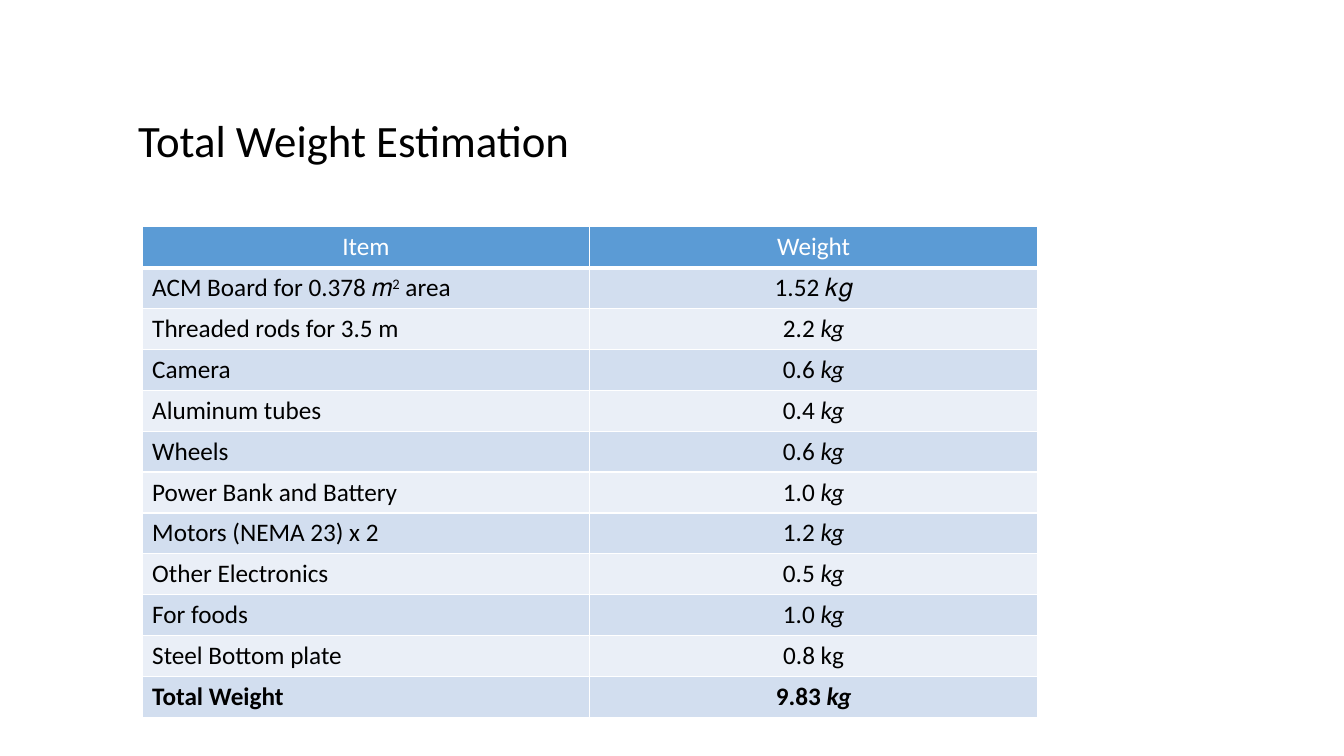
from pptx import Presentation
from pptx.dml.color import RGBColor
from pptx.enum.text import MSO_ANCHOR, PP_ALIGN
from pptx.oxml import parse_xml
from pptx.oxml.ns import nsdecls
from pptx.util import Inches, Pt

BLACK = RGBColor(0x00, 0x00, 0x00)
WHITE = RGBColor(0xFF, 0xFF, 0xFF)
HEADER_BLUE = RGBColor(0x5B, 0x9B, 0xD5)
BAND_DARK = RGBColor(0xD2, 0xDE, 0xEF)
BAND_LIGHT = RGBColor(0xEA, 0xEF, 0xF7)
FONT = "Calibri"

# Each cell is a list of (text, style) runs
PLAIN, ITALIC, SUPER = "plain", "italic", "super"
WEIGHTS = [
    ("Threaded rods for 3.5 m", "2.2 "),
    ("Camera", "0.6 "),
    ("Aluminum tubes", "0.4 "),
    ("Wheels", "0.6 "),
    ("Power Bank and Battery", "1.0 "),
    ("Motors (NEMA 23) x 2", "1.2 "),
    ("Other Electronics", "0.5 "),
    ("For foods", "1.0 "),
]
TOTAL = ("Total Weight", "9.83 ")


def weight_row(item, amount):
    return [[(item, PLAIN)], [(amount, PLAIN), ("kg", ITALIC)]]


ROWS = [
    [[("Item", PLAIN)], [("Weight", PLAIN)]],
    [[("ACM Board for 0.378 𝑚", PLAIN), ("2", SUPER), (" area", PLAIN)],
     [("1.52 𝑘𝑔", PLAIN)]],
    *[weight_row(item, amount) for item, amount in WEIGHTS],
    [[("Steel Bottom plate", PLAIN)], [("0.8 kg", PLAIN)]],
    weight_row(*TOTAL),
]


def add_span(para, text, size, color, style=PLAIN, bold=False):
    span = para.add_run()
    span.text = text
    span.font.name = FONT
    span.font.size = Pt(size)
    span.font.bold = bold
    span.font.color.rgb = color
    if style == ITALIC:
        span.font.italic = True
    elif style == SUPER:
        span.font._element.set("baseline", "30000")


def set_borders(cell, bottom_width):
    properties = cell._tc.get_or_add_tcPr()
    widths = [("lnL", 1), ("lnR", 1), ("lnT", 1), ("lnB", bottom_width)]
    for position, (side, width) in enumerate(widths):
        properties.insert(position, parse_xml(
            f'<a:{side} {nsdecls("a")} w="{Pt(width)}"><a:solidFill>'
            f'<a:srgbClr val="{WHITE}"/></a:solidFill></a:{side}>'))


def add_title(page, left, top, width, height):
    box = page.shapes.title
    box.left, box.top, box.width, box.height = left, top, width, height
    frame = box.text_frame
    frame.word_wrap = True
    frame.vertical_anchor = MSO_ANCHOR.TOP
    para = frame.paragraphs[0]
    para.alignment = PP_ALIGN.LEFT
    para.line_spacing = 0.9
    add_span(para, "Total Weight Estimation", 32, BLACK)


def add_weight_table(page, left, top, width, height):
    table = page.shapes.add_table(
        len(ROWS), len(ROWS[0]), left, top, width, height).table
    for row_index, row in enumerate(ROWS):
        is_header = row_index == 0
        is_total = row_index == len(ROWS) - 1
        band = BAND_DARK if row_index % 2 else BAND_LIGHT
        for column_index, spans in enumerate(row):
            cell = table.cell(row_index, column_index)
            cell.fill.solid()
            cell.fill.fore_color.rgb = HEADER_BLUE if is_header else band
            set_borders(cell, 3 if is_header else 1)
            para = cell.text_frame.paragraphs[0]
            centred = is_header or column_index == 1
            para.alignment = PP_ALIGN.CENTER if centred else PP_ALIGN.LEFT
            for text, style in spans:
                add_span(para, text, 18, WHITE if is_header else BLACK,
                         style, bold=is_total)


def main():
    deck = Presentation()
    deck.slide_width, deck.slide_height = Inches(13.33), Inches(7.5)
    page = deck.slides.add_slide(deck.slide_layouts[5])
    # Heading
    add_title(page, Inches(1.27), Inches(1.13), Inches(9.02), Inches(1.12))
    # Item weights
    add_weight_table(page, Inches(1.41), Inches(2.25), Inches(8.88), Inches(4.87))
    deck.save("out.pptx")


if __name__ == "__main__":
    main()
